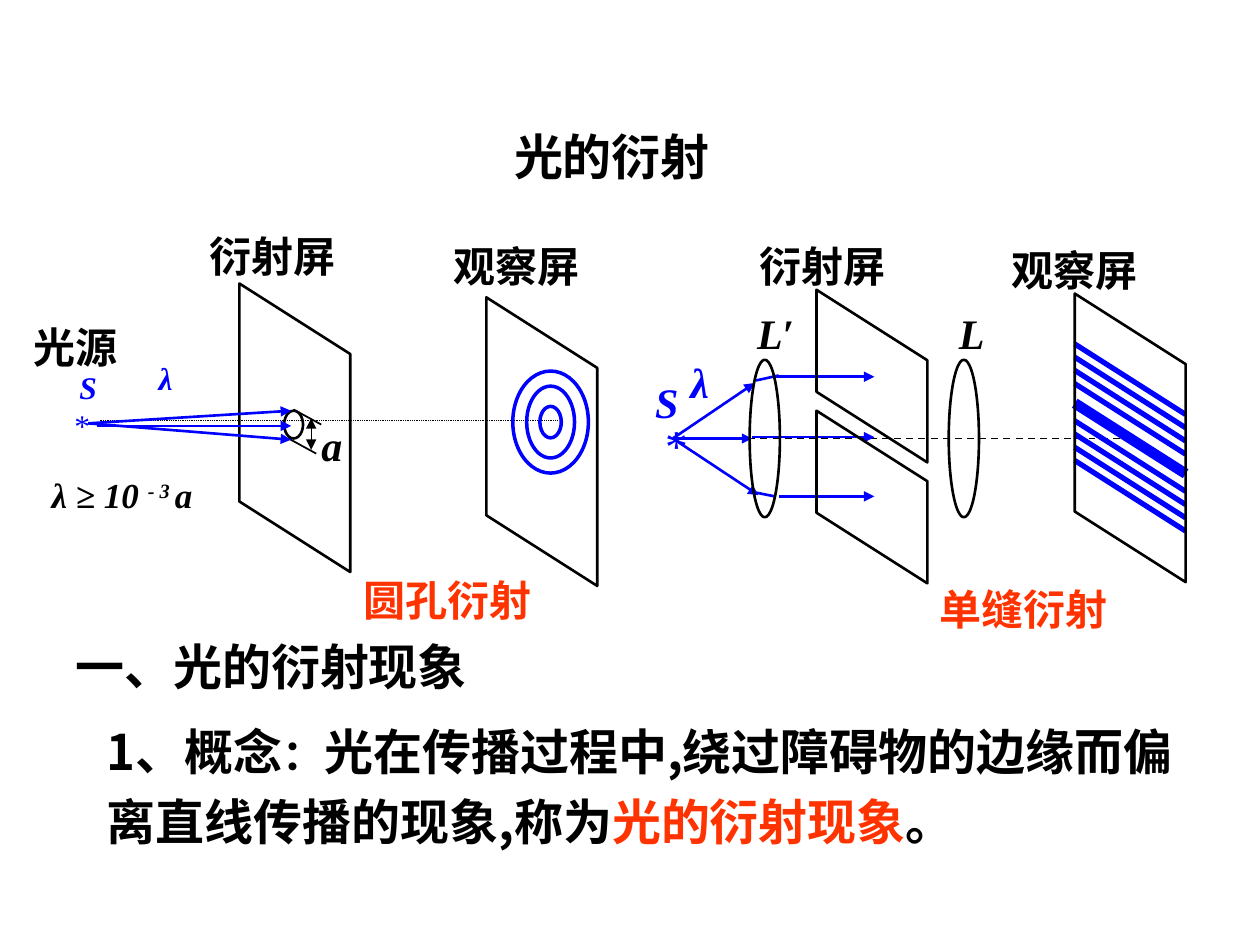
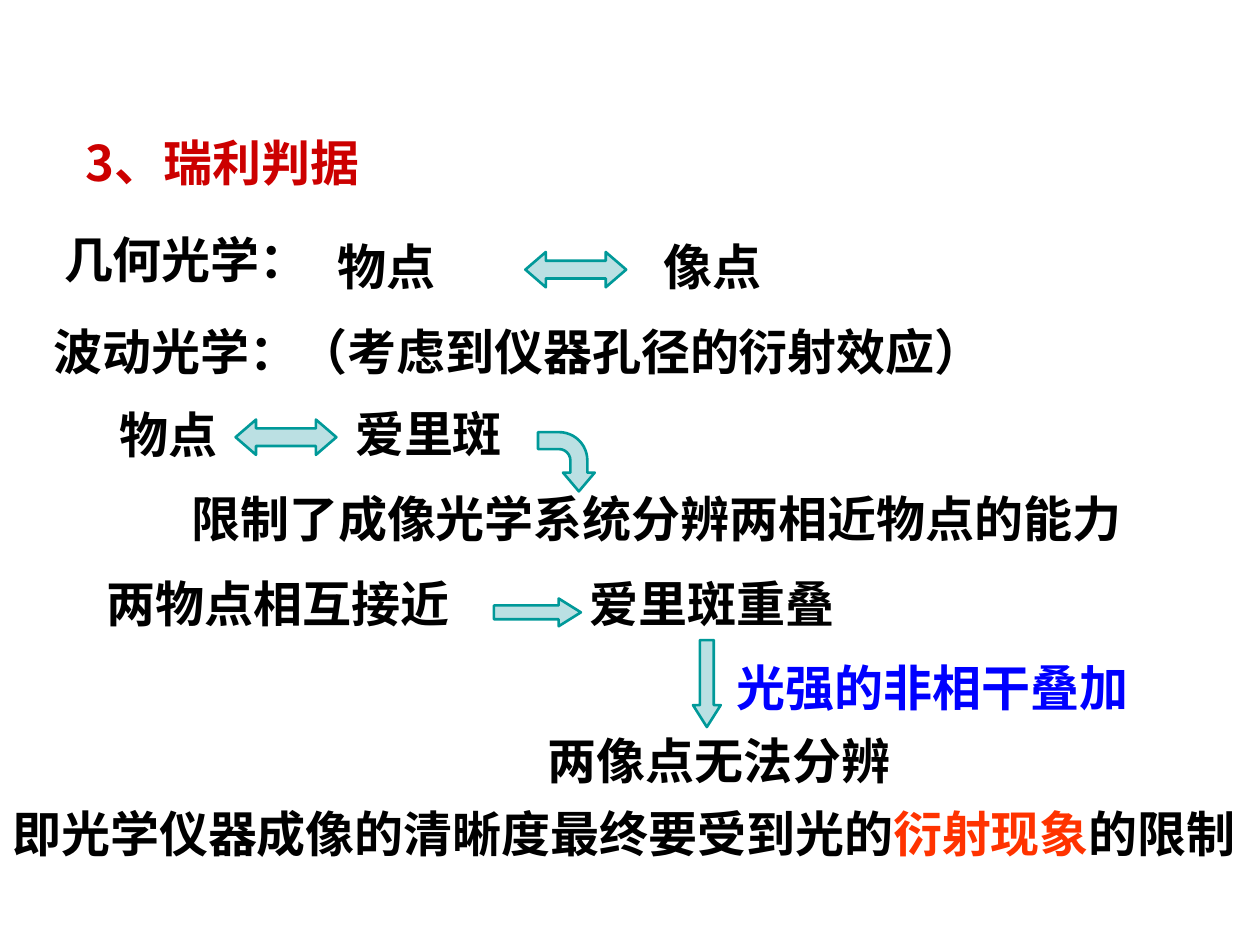
import pptx
import pptx.util
import pptx.dml.color
import pptx.enum.dml
import pptx.enum.shapes
import pptx.enum.text
import pptx.oxml.ns
import lxml.etree

Inches = pptx.util.Inches
Kind = pptx.enum.shapes.MSO_SHAPE
Dash = pptx.enum.dml.MSO_LINE

COLORS = {"ink": "000000", "ray": "0000FF", "key": "FF3300",
          "head": "CC0000", "fill": "BBE0E3", "edge": "009999"}
CJK = "Noto Sans CJK SC"
ROMAN = "Times New Roman"
BODY = {"size": 28, "bold": True, "name": ROMAN, "color": "ink"}
LABEL = BODY | {"size": 24}
SYMBOL = LABEL | {"italic": True}
HEAVY = BODY | {"name": CJK}
CAPTION = HEAVY | {"size": 24, "color": "key"}
FRAME = {"word_wrap": True,
         "auto_size": pptx.enum.text.MSO_AUTO_SIZE.NONE,
         "vertical_anchor": pptx.enum.text.MSO_ANCHOR.TOP}
TIGHT = {"margin_" + side: Inches(0.01)
         for side in ("left", "top", "right", "bottom")}
PANE = (0.88, 0.56)  # width and drop of a slanted screen


def rgb(name):
    return pptx.dml.color.RGBColor.from_string(COLORS[name])


def apply(item, values):
    for name, value in values.items():
        setattr(item, name, value)


def add_tag(parent, tag, **values):
    return lxml.etree.SubElement(parent, pptx.oxml.ns.qn(tag), values)


def write(shape, text, look, **frame):
    """Fill a shape with text, or with a list of (text, changes) runs."""
    apply(shape.text_frame, FRAME | frame)
    para = shape.text_frame.paragraphs[0]
    para.alignment = pptx.enum.text.PP_ALIGN.LEFT
    runs = [(text, {})] if isinstance(text, str) else text
    for words, change in runs:
        font = look | change
        run = para.add_run()
        run.text = words
        apply(run.font, {"size": pptx.util.Pt(font["size"]),
                         "name": font["name"],
                         "bold": font.get("bold", False),
                         "italic": font.get("italic", False)})
        run.font.color.rgb = rgb(font["color"])
        props = run._r.get_or_add_rPr()
        add_tag(props, "a:ea", typeface=CJK)
        if "raise" in font:
            props.set("baseline", font["raise"])
    return para


class Area:
    """A region of a slide; all lengths count from its top left corner."""

    def __init__(self, slide, left=0, top=0):
        self.slide, self.left, self.top = slide, left, top

    def place(self, x, y):
        return Inches(self.left + x), Inches(self.top + y)

    def text(self, box, text, look=BODY, **frame):
        x, y, w, h = box
        shape = self.slide.shapes.add_textbox(
            *self.place(x, y), Inches(w), Inches(h))
        return write(shape, text, look, **frame)

    def label(self, box, text, look=LABEL):
        self.text(box, text, look, **TIGHT)

    def title(self, box, text, look):
        x, y, w, h = box
        shape = self.slide.shapes.title
        left, top = self.place(x, y)
        apply(shape, {"left": left, "top": top,
                      "width": Inches(w), "height": Inches(h)})
        write(shape, text, look)

    def line(self, x1, y1, x2, y2, color="ink", width=1.5, dash=None, ends=()):
        link = self.slide.shapes.add_connector(
            pptx.enum.shapes.MSO_CONNECTOR.STRAIGHT,
            *self.place(x1, y1), *self.place(x2, y2))
        link.line.color.rgb = rgb(color)
        apply(link.line, {"width": pptx.util.Pt(width), "dash_style": dash})
        for end in ends:
            add_tag(link.line._get_or_add_ln(), f"a:{end}End", type="triangle")
        add_tag(link._element.spPr, "a:effectLst")

    def ray(self, *points):
        self.line(*points, color="ray", ends=["tail"])

    def paint(self, shape, edge, width=1.5, fill=None):
        shape.shadow.inherit = False
        shape.line.color.rgb = rgb(edge)
        shape.line.width = pptx.util.Pt(width)
        if fill:
            shape.fill.solid()
            shape.fill.fore_color.rgb = rgb(fill)
        else:
            shape.fill.background()

    def oval(self, x, y, w, h, edge="ink", width=1.5):
        """Draw an ellipse around the centre x, y."""
        shape = self.slide.shapes.add_shape(
            Kind.OVAL, *self.place(x - w / 2, y - h / 2), Inches(w), Inches(h))
        self.paint(shape, edge, width)

    def arrow(self, kind, box, adjust, turn=0):
        x, y, w, h = box
        shape = self.slide.shapes.add_shape(
            kind, *self.place(x, y), Inches(w), Inches(h))
        for i, value in enumerate(adjust):
            shape.adjustments[i] = value
        shape.rotation = turn
        self.paint(shape, "edge", fill="fill")

    def pane(self, x, y, height):
        wide, drop = PANE
        pen = self.slide.shapes.build_freeform(*self.place(x, y))
        pen.add_line_segments([
            self.place(x + wide, y + drop),
            self.place(x + wide, y + drop + height),
            self.place(x, y + height)], close=True)
        self.paint(pen.convert_to_shape(), "ink")


def draw_hole(area):
    """Diffraction at a round hole."""
    area.line(0.79, 1.84, 4.42, 1.84, width=0.5, dash=Dash.ROUND_DOT)
    for w, h in ((0.17, 0.25), (0.38, 0.57), (0.6, 0.81)):
        area.oval(4.37, 1.85, w, h, "ray", 2)
    # Screens and their names
    area.pane(1.9, 0.75, 1.73)
    area.pane(3.86, 0.86, 1.73)
    area.label((1.65, 0.32, 1.29, 0.36), "衍射屏")
    area.label((3.59, 0.4, 1.26, 0.33), "观察屏")
    # Hole and its width
    area.oval(2.33, 1.87, 0.15, 0.22)
    area.line(2.33, 1.75, 2.55, 1.87, width=1)
    area.line(2.29, 1.98, 2.51, 2.1, width=1)
    area.line(2.47, 1.82, 2.47, 2.07, width=0.75, ends=["head", "tail"])
    area.label((2.54, 1.82, 0.38, 0.31), "a", SYMBOL)
    # Source, rays and condition
    blue = {"size": 18, "color": "ray"}
    area.text((0.17, 1, 0.87, 0.5), "光源", LABEL | {"name": "Arial"},
              word_wrap=False)
    area.label((0.58, 1.71, 0.33, 0.43), "*", LABEL | blue | {"bold": False})
    area.label((0.62, 1.41, 0.36, 0.29), "S", SYMBOL | blue)
    area.label((1.25, 1.34, 0.39, 0.37), "λ", SYMBOL | blue)
    area.ray(0.77, 1.88, 2.31, 1.88)
    for y in (1.76, 1.99):
        area.ray(0.7, 1.86, 2.31, y)
    area.label((0.4, 2.25, 1.48, 0.32),
               [("λ ≥ 10 ", {}), ("- 3 ", {"raise": "30000"}), ("a", {})],
               SYMBOL | {"size": 20})
    area.text((2.79, 3.01, 1.53, 0.5), "圆孔衍射", CAPTION, word_wrap=False)


def draw_slit(area):
    """Diffraction at a single slit."""
    area.line(0.36, 1.98, 3.99, 1.98, width=1, dash=Dash.DASH)
    # Source and rays
    blue = {"color": "ray"}
    area.label((0.47, 1.32, 0.39, 0.4), "λ", SYMBOL | blue)
    area.label((0.27, 1.8, 0.33, 0.43), "*",
               LABEL | blue | {"size": 26, "bold": False})
    area.label((0.19, 1.48, 0.36, 0.29), "S", SYMBOL | blue)
    for x, y in ((0.97, 1.98), (0.99, 1.54), (1.02, 2.43)):
        area.ray(0.34, 1.98, x, y)
    for x, y in ((0.97, 1.97), (1.16, 1.49), (1.18, 2.44)):
        area.ray(x, y, 1.94, y)
    area.line(1, 2.41, 1.15, 2.44, "ray")
    area.line(1, 1.52, 1.18, 1.48, "ray")
    # Fringes: four thin ones on each side of a thick one
    wide, drop = PANE
    thin = [(first + 0.105 * i, 3) for first in (1.23, 1.84) for i in range(4)]
    for y, width in [(1.7, 6)] + thin:
        area.line(3.53, y, 3.53 + wide, y + drop, "ray", width)
    # Screens, lenses and their names
    for x, y, height in ((1.48, 0.8, 0.81), (1.48, 1.76, 0.81),
                         (3.53, 0.83, 1.73)):
        area.pane(x, y, height)
    for x in (1.07, 2.65):
        area.oval(x, 1.98, 0.24, 1.25)
    area.label((1.02, 0.4, 1.2, 0.19), "衍射屏")
    area.label((3.02, 0.43, 1.19, 0.32), "观察屏")
    area.label((1, 0.93, 0.39, 0.38), [("L", {}), ("′", {"italic": False})],
               SYMBOL)
    area.label((2.6, 0.93, 0.24, 0.31), "L", SYMBOL)
    area.text((2.36, 3.08, 1.54, 0.5), "单缝衍射", CAPTION, word_wrap=False)


def draw_concept(area):
    """Heading and definition below the drawings."""
    area.text((0, 0, 3.58, 0.57), "一、光的衍射现象", HEAVY)
    para = area.text((0.25, 0.58, 8.67, 1.22), [
        ("1、概念", {}), ("：", {"size": 24}),
        ("光在传播过程中,绕过障碍物的边缘而偏离直线传播的现象,称为", {}),
        ("光的衍射现象", {"color": "key"}), ("。", {})], HEAVY)
    para.line_spacing = 1.2


def draw_optics(area):
    """Geometric optics against wave optics."""
    for x, y, w, words in (
            (0.41, 0, 2.68, "几何光学："),
            (2.58, 0.06, 1.54, "物点"),
            (5.17, 0.06, 1.8, "像点"),
            (0.33, 0.73, 8.19, "波动光学：（考虑到仪器孔径的衍射效应）"),
            (0.85, 1.39, 1.39, "物点"),
            (2.72, 1.38, 1.89, "爱里斑"),
            (1.42, 2.06, 7.82, "限制了成像光学系统分辨两相近物点的能力")):
        area.text((x, y, w, 0.57), words)
    for x, y in ((4.17, 0.23), (1.87, 1.56)):
        area.arrow(Kind.LEFT_RIGHT_ARROW, (x, y, 0.8, 0.28), (0.5, 0.58))
    area.arrow(Kind.BENT_ARROW, (4.26, 1.67, 0.47, 0.45),
               (0.3, 0.28, 0.33, 0.5), turn=90)


def draw_overlap(area):
    """How overlapping spots limit the image."""
    for x, y, w, words, color in (
            (0.75, 0, 2.94, "两物点相互接近", "ink"),
            (4.58, 0, 2.15, "爱里斑重叠", "ink"),
            (5.75, 0.67, 3.33, "光强的非相干叠加", "ray")):
        area.text((x, y, w, 0.57), words, BODY | {"color": color},
                  word_wrap=False)
    area.text((4.25, 1.25, 3.47, 0.57), "两像点无法分辨")
    area.arrow(Kind.RIGHT_ARROW, (3.92, 0.25, 0.69, 0.22), (0.5, 0.8))
    area.arrow(Kind.DOWN_ARROW, (5.5, 0.58, 0.22, 0.69), (0.5, 0.79))
    area.text((0, 1.83, 9.97, 0.57), [
        ("即光学仪器成像的清晰度最终要受到光的", {}),
        ("衍射现象", {"color": "key"}), ("的限制", {})],
        BODY | {"name": "Arial"}, word_wrap=False)


def main():
    deck = pptx.Presentation()
    apply(deck, {"slide_width": Inches(10), "slide_height": Inches(7.5)})
    layout = deck.slide_layouts[5]

    first = deck.slides.add_slide(layout)
    Area(first).title((3.98, 0.95, 4.92, 0.57), "光的衍射", BODY)
    draw_hole(Area(first, 0, 1.5))
    draw_slit(Area(first, 5, 1.5))
    draw_concept(Area(first, 0.5, 5))

    second = deck.slides.add_slide(layout)
    Area(second).title((0.58, 1, 3.5, 0.57), "3、瑞利判据",
                       HEAVY | {"color": "head"})
    draw_optics(Area(second, 0, 1.77))
    draw_overlap(Area(second, 0, 4.5))
    deck.save("out.pptx")


if __name__ == "__main__":
    main()
